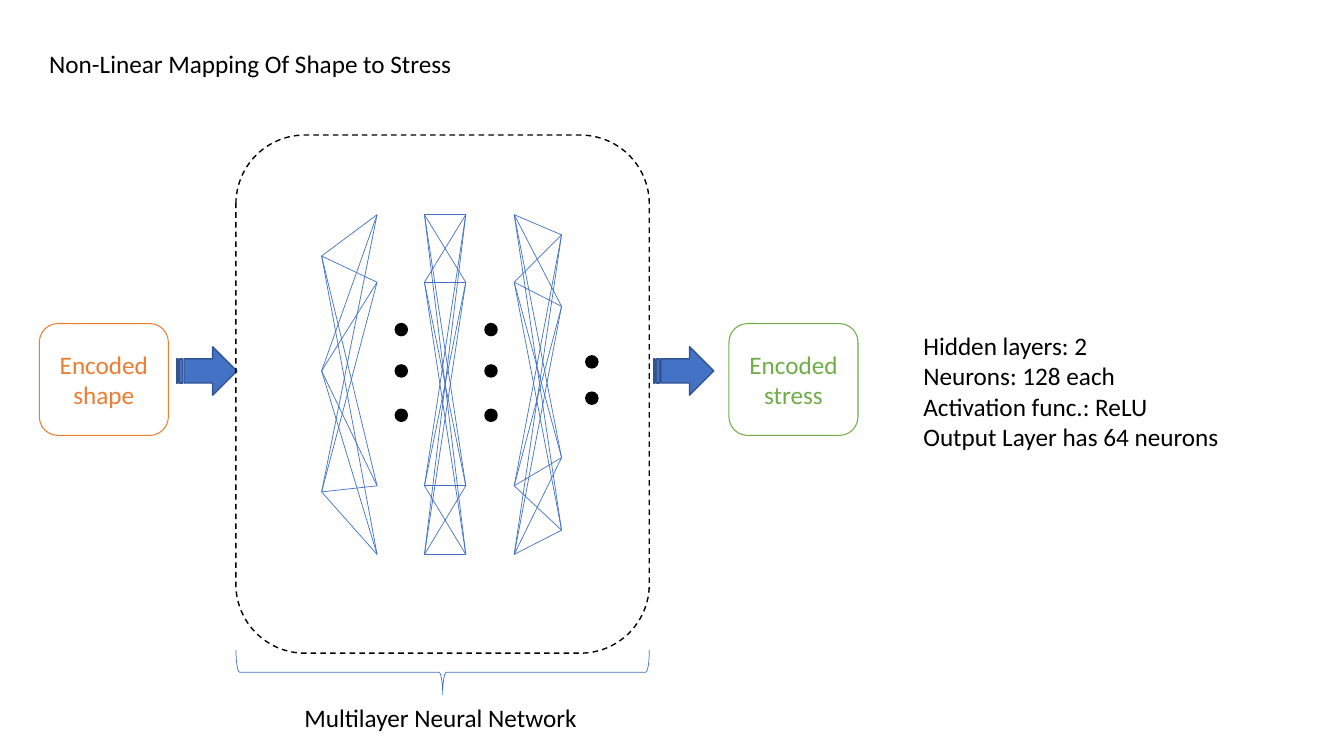
from dataclasses import dataclass
from itertools import product
from typing import Optional

from lxml import etree
from pptx import Presentation
from pptx.dml.color import RGBColor
from pptx.enum.dml import MSO_LINE
from pptx.enum.shapes import MSO_CONNECTOR, MSO_SHAPE
from pptx.enum.text import MSO_ANCHOR, MSO_AUTO_SIZE, PP_ALIGN
from pptx.oxml.ns import qn
from pptx.shapes.autoshape import Shape
from pptx.slide import Slide
from pptx.text.text import TextFrame
from pptx.util import Inches, Length, Pt

ROUNDED = MSO_SHAPE.ROUNDED_RECTANGLE
ARROW = MSO_SHAPE.STRIPED_RIGHT_ARROW
DOT = MSO_SHAPE.FLOWCHART_CONNECTOR
BRACE = MSO_SHAPE.RIGHT_BRACE
STRAIGHT = MSO_CONNECTOR.STRAIGHT
DASH = MSO_LINE.DASH
MIDDLE = MSO_ANCHOR.MIDDLE
FIT_TEXT = MSO_AUTO_SIZE.SHAPE_TO_FIT_TEXT
LEFT, CENTER = PP_ALIGN.LEFT, PP_ALIGN.CENTER

BLACK = RGBColor(0x00, 0x00, 0x00)
BLUE = RGBColor(0x44, 0x72, 0xC4)
DARK_BLUE = RGBColor(0x32, 0x54, 0x91)
ORANGE = RGBColor(0xED, 0x7D, 0x31)
GREEN = RGBColor(0x70, 0xAD, 0x47)

FONT = "Calibri"
CELL = Inches(0.1)  # side of one square grid cell


@dataclass(frozen=True)
class Area:
    """Place on the grid, in columns and rows."""
    column: float
    row: float
    columns: float
    rows: float

    def lengths(self) -> list[Length]:
        return [cells(value) for value in (self.column, self.row, self.columns, self.rows)]


@dataclass(frozen=True)
class CodeBox:
    text: str
    column: float
    color: RGBColor


@dataclass(frozen=True)
class Layer:
    """Ends of the links on one side of a link group."""
    column: float
    rows: tuple[float, ...]


@dataclass(frozen=True)
class Label:
    lines: tuple[str, ...]
    area: Area
    alignment: PP_ALIGN = LEFT


HIDDEN_ROWS = (21.3, 28, 48.2, 55)
LINK_GROUPS = (
    (Layer(31.9, (25.4, 36.8, 48.8)), Layer(37.4, HIDDEN_ROWS)),
    (Layer(42.1, HIDDEN_ROWS), Layer(46.2, HIDDEN_ROWS)),
    (Layer(51, HIDDEN_ROWS), Layer(55.7, (23.3, 30.4, 45.4, 52.6))),
)
DOT_COLUMNS = (
    Layer(39.2, (32.1, 36.2, 40.6)),
    Layer(48.1, (32.1, 36.2, 40.6)),
    Layer(58.1, (35.3, 38.9)),
)
DOT_SIZE = 1.2
CODE_BOXES = (
    CodeBox("Encoded shape", 3.9, ORANGE),
    CodeBox("Encoded stress", 72.3, GREEN),
)
ARROW_COLUMNS = (17.5, 64.8)
NETWORK = Area(23.4, 13.4, 41, 51.4)
BRACE_DEPTH = 4.4
LABELS = (
    Label(("Multilayer Neural Network",), Area(23.2, 69.2, 41, 4), CENTER),
    Label(("Non-Linear Mapping Of Shape to Stress",), Area(3.9, 4.3, 76.4, 4)),
    Label(("Hidden layers: 2", "Neurons: 128 each", "Activation func.: ReLU",
           "Output Layer has 64 neurons"), Area(90.6, 32.3, 38.6, 13.1)),
)


def cells(count: float) -> Length:
    return Length(round(count * CELL))


def add_outline(slide: Slide, kind: MSO_SHAPE, area: Area, color: RGBColor,
                weight: float, fill: Optional[RGBColor] = None) -> Shape:
    shape = slide.shapes.add_shape(kind, *area.lengths())
    shape.shadow.inherit = False
    if fill is None:
        shape.fill.background()
    else:
        shape.fill.solid()
        shape.fill.fore_color.rgb = fill
    shape.line.color.rgb = color
    shape.line.width = Pt(weight)
    return shape


def write_lines(frame: TextFrame, lines: tuple[str, ...], color: RGBColor,
                alignment: PP_ALIGN) -> None:
    frame.word_wrap = True
    for index, line in enumerate(lines):
        paragraph = frame.add_paragraph() if index else frame.paragraphs[0]
        paragraph.alignment = alignment
        run = paragraph.add_run()
        run.text = line
        run.font.name = FONT
        run.font.size = Pt(18)
        run.font.color.rgb = color


def add_code_box(slide: Slide, box: CodeBox) -> None:
    shape = add_outline(slide, ROUNDED, Area(box.column, 32.1, 12.8, 11.1), box.color, 0.75)
    shape.text_frame.vertical_anchor = MIDDLE
    write_lines(shape.text_frame, (box.text,), box.color, CENTER)


def add_links(slide: Slide, source: Layer, target: Layer) -> None:
    for start, end in product(source.rows, target.rows):
        link = slide.shapes.add_connector(STRAIGHT, cells(source.column), cells(start),
                                          cells(target.column), cells(end))
        link.line.color.rgb = BLUE
        link.line.width = Pt(0.5)
        etree.SubElement(link._element.spPr, qn("a:effectLst"))


def add_label(slide: Slide, label: Label) -> None:
    frame = slide.shapes.add_textbox(*label.area.lengths()).text_frame
    write_lines(frame, label.lines, BLACK, label.alignment)
    frame.auto_size = FIT_TEXT


def main() -> None:
    presentation = Presentation()
    presentation.slide_width = Inches(13.33)
    presentation.slide_height = Inches(7.5)
    slide = presentation.slides.add_slide(presentation.slide_layouts[6])

    # Input and output codes with their arrows
    for box in CODE_BOXES:
        add_code_box(slide, box)
    for column in ARROW_COLUMNS:
        add_outline(slide, ARROW, Area(column, 34.4, 6, 4.8), DARK_BLUE, 1, BLUE)

    # Network layers
    for dots in DOT_COLUMNS:
        for row in dots.rows:
            add_outline(slide, DOT, Area(dots.column, row, DOT_SIZE, DOT_SIZE), BLACK, 1, BLACK)
    for source, target in LINK_GROUPS:
        add_links(slide, source, target)

    # Network frame, and the brace turned to lie under it
    add_outline(slide, ROUNDED, NETWORK, BLACK, 1).line.dash_style = DASH
    brace_area = Area(NETWORK.column + (NETWORK.columns - BRACE_DEPTH) / 2, 46.2,
                      BRACE_DEPTH, NETWORK.columns)
    add_outline(slide, BRACE, brace_area, BLUE, 0.5).rotation = 90

    # Title, caption and network facts
    for label in LABELS:
        add_label(slide, label)

    presentation.save("out.pptx")


if __name__ == "__main__":
    main()
